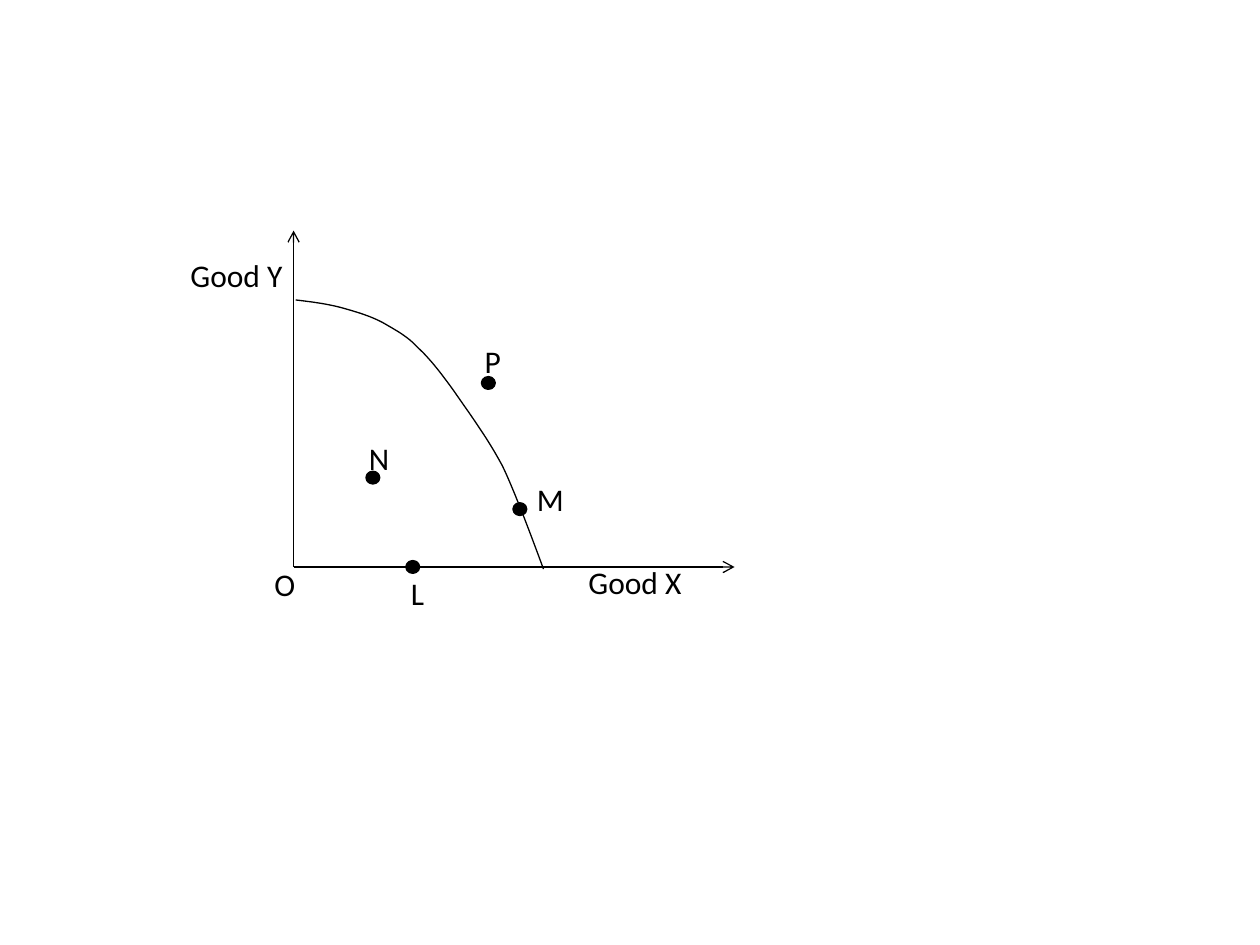
from pptx import Presentation
from pptx import util as u
from pptx.dml.color import RGBColor
from pptx.enum import shapes, text
from pptx.oxml.ns import qn
from lxml import etree

BLACK = "000000"
COLUMNS, ROWS = 42, 32  # grid of the diagram, counted from the origin O

# Bezier nodes of the frontier: a start, then two handles and an end per segment
FRONTIER = [
    (0.2, 25.4),
    (1.9, 25.2), (3.4, 25), (4.8, 24.6),
    (6.2, 24.2), (7.2, 23.9), (8.4, 23.3),
    (9.6, 22.6), (10.8, 22), (11.8, 20.9),
    (13, 19.8), (14, 18.5), (15.3, 16.7),
    (16.6, 14.8), (18.4, 12.4), (19.9, 9.6),
    (21.3, 6.7), (23.8, -0.2), (23.8, -0.2),
]
BUNDLES = [(21, 6), (18, 18), (7, 9), (10.8, 0.5)]  # left, top of each dot
DOT_WIDTH, DOT_HEIGHT = 1.1, 1
LABELS = [  # wording, left, top, width
    ("P", 17, 22, 4),
    ("M", 22, 8.9, 5),
    ("L", 10, -0.1, 3.7),
    ("N", 6, 12.8, 4.3),
    ("O", -3, 0.8, 4.4),
    ("Good Y", -11, 30.2, 11.3),
    ("Good X", 26.9, 1, 11.4),
]
LABEL_HEIGHT = 4.8


def colour(hex_string):
    return RGBColor.from_string(hex_string)


def set_line(line, points):
    line.color.rgb = colour(BLACK)
    line.width = u.Pt(points)


def add_axis(slide, start, end):
    axis = slide.shapes.add_connector(shapes.MSO_CONNECTOR.STRAIGHT, *start, *end)
    set_line(axis.line, 0.75)
    properties = axis.line._get_or_add_ln()
    etree.SubElement(properties, qn("a:tailEnd"), type="arrow")
    etree.SubElement(properties.getparent(), qn("a:effectLst"))


def curve_points(nodes, steps=12):
    """Return points along a chain of cubic Bezier segments."""
    points = [nodes[0]]
    for i in range(0, len(nodes) - 1, 3):
        segment = nodes[i:i + 4]
        for step in range(1, steps + 1):
            t = step / steps
            weights = ((1 - t) ** 3, 3 * t * (1 - t) ** 2, 3 * t * t * (1 - t), t ** 3)
            points.append(tuple(sum(w * node[axis] for w, node in zip(weights, segment))
                                for axis in (0, 1)))
    return points


def add_frontier(slide, place):
    start, *rest = [place(*point) for point in curve_points(FRONTIER)]
    builder = slide.shapes.build_freeform(*start)
    builder.add_line_segments(rest, close=False)
    frontier = builder.convert_to_shape()
    frontier.shadow.inherit = False
    frontier.fill.background()
    set_line(frontier.line, 0.75)


def add_bundle(slide, position, size):
    dot = slide.shapes.add_shape(shapes.MSO_SHAPE.OVAL, *position, *size)
    dot.shadow.inherit = False
    dot.fill.solid()
    dot.fill.fore_color.rgb = colour(BLACK)
    set_line(dot.line, 2)


def add_label(slide, wording, position, size):
    frame = slide.shapes.add_textbox(*position, *size).text_frame
    frame.word_wrap = False
    frame.auto_size = text.MSO_AUTO_SIZE.SHAPE_TO_FIT_TEXT
    paragraph = frame.paragraphs[0]
    paragraph.text = wording
    paragraph.font.name = "Calibri"
    paragraph.font.size = u.Pt(18)
    paragraph.font.color.rgb = colour(BLACK)


def add_possibility_diagram(slide, left, top, width, height):
    """Draw axes, frontier, bundles and labels; the axes span the given box."""
    column, row = width / COLUMNS, height / ROWS

    def place(x, y):
        return round(left + x * column), round(top + height - y * row)

    def extent(columns, rows):
        return round(columns * column), round(rows * row)

    for end in ((0, ROWS), (COLUMNS, 0)):
        add_axis(slide, place(0, 0), place(*end))
    add_frontier(slide, place)
    for bundle in BUNDLES:
        add_bundle(slide, place(*bundle), extent(DOT_WIDTH, DOT_HEIGHT))
    for wording, x, y, columns in LABELS:
        add_label(slide, wording, place(x, y), extent(columns, LABEL_HEIGHT))


def main():
    deck = Presentation()
    deck.slide_width, deck.slide_height = u.Inches(10), u.Inches(7.5)
    slide = deck.slides.add_slide(deck.slide_layouts[6])
    add_possibility_diagram(slide, u.Inches(2.33), u.Inches(1.83),
                            u.Inches(3.5), u.Inches(2.67))
    deck.save("out.pptx")


if __name__ == "__main__":
    main()
